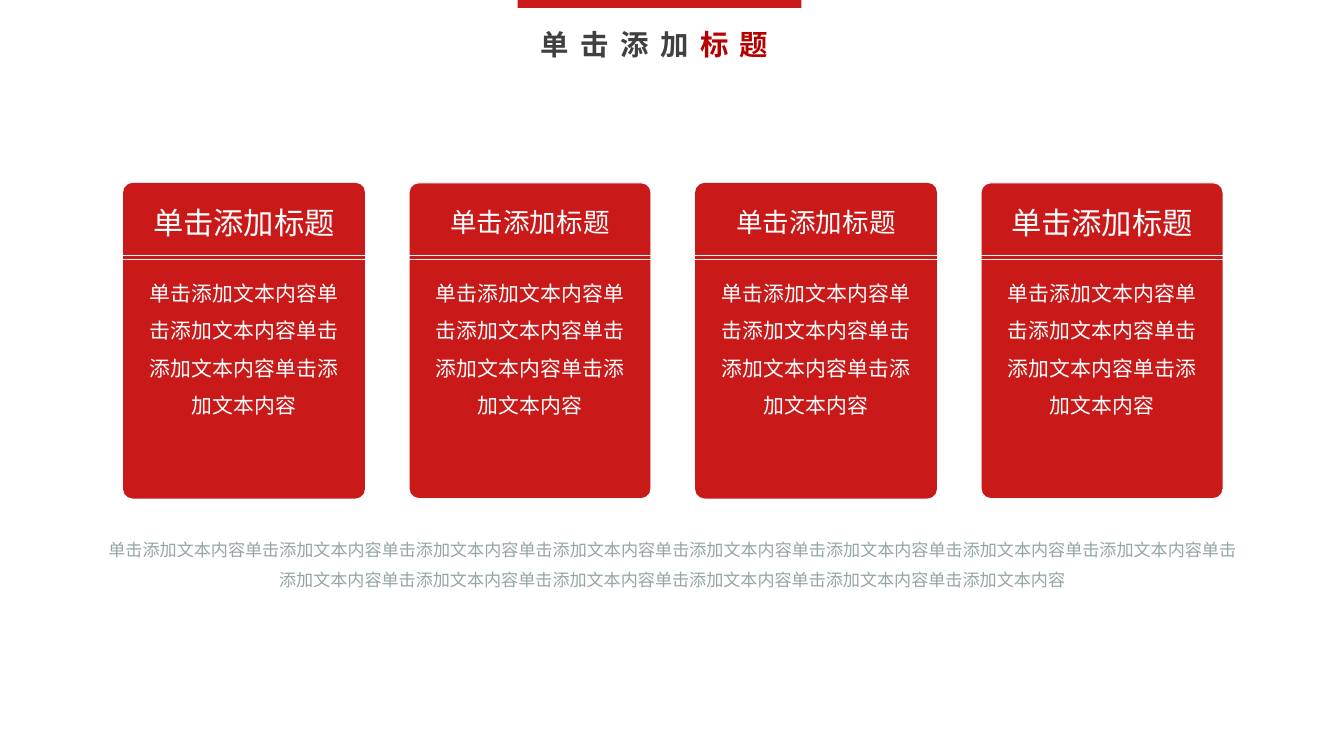
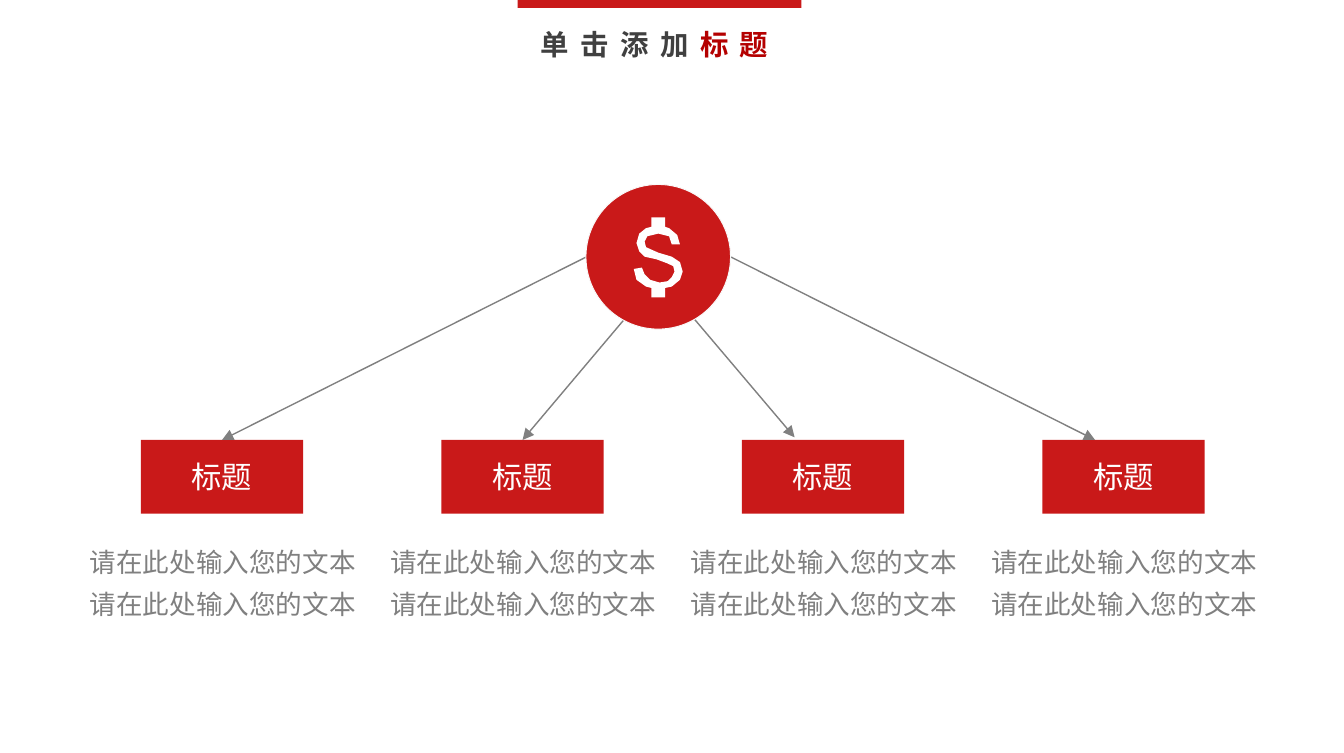
from lxml.etree import SubElement
from pptx import Presentation
from pptx.dml.color import RGBColor
from pptx.enum.shapes import MSO_CONNECTOR, MSO_SHAPE
from pptx.enum.text import MSO_ANCHOR, PP_ALIGN
from pptx.oxml.ns import qn
from pptx.util import Cm, Pt

RED = RGBColor(0xC9, 0x19, 0x19)
DARK_RED = RGBColor(0xB4, 0x00, 0x00)
WHITE = RGBColor(0xFF, 0xFF, 0xFF)
OUTLINE = RGBColor(0xF9, 0xF9, 0xF9)
RULE = RGBColor(0xF2, 0xF2, 0xF2)
GRAY = RGBColor(0x80, 0x80, 0x80)
BLUE_GRAY = RGBColor(0x95, 0xA5, 0xA6)
DARK_GRAY = RGBColor(0x40, 0x40, 0x40)
LATIN_FONT = "Calibri"
CHINESE_FONT = "Noto Sans CJK SC"
EAST_ASIAN_FONT = "Calibri"


def write_text(shape, text, size, color, font=LATIN_FONT, spacing=1.0,
               anchor=MSO_ANCHOR.TOP, insets=(0.25, 0.13)):
    frame = shape.text_frame
    frame.word_wrap = True
    frame.vertical_anchor = anchor
    frame.margin_left = frame.margin_right = Cm(insets[0])
    frame.margin_top = frame.margin_bottom = Cm(insets[1])
    frame.text = text
    for paragraph in frame.paragraphs:
        paragraph.alignment = PP_ALIGN.CENTER
        paragraph.line_spacing = spacing
        for run in paragraph.runs:
            run.font.name = font
            run.font.size = Pt(size)
            run.font.color.rgb = color
            properties = run.font._element
            SubElement(properties, qn("a:ea"), typeface=EAST_ASIAN_FONT)


def draw_line(slide, start, end, color, arrow=False):
    connector = slide.shapes.add_connector(
        MSO_CONNECTOR.STRAIGHT, Cm(start[0]), Cm(start[1]), Cm(end[0]), Cm(end[1]))
    connector.line.color.rgb = color
    connector.line.width = Pt(0.75)
    properties = connector.element.spPr
    if arrow:
        SubElement(properties.find(qn("a:ln")), qn("a:tailEnd"), type="triangle")
    SubElement(properties, qn("a:effectLst"))


presentation = Presentation()
presentation.slide_width = Cm(25)
presentation.slide_height = Cm(14)
blank = presentation.slide_layouts[6]
cards_slide = presentation.slides.add_slide(blank)
tree_slide = presentation.slides.add_slide(blank)
filled_shapes = []  # shape, fill colour, whether outlined

# Slide 1: four cards
CARD_TOP, CARD_WIDTH, CARD_HEIGHT = 3.4, 4.5, 5.87
for index, heading_size in enumerate((16, 14, 14, 16)):
    left = 2.29 + index * 5.32
    card = cards_slide.shapes.add_shape(
        MSO_SHAPE.ROUNDED_RECTANGLE,
        Cm(left), Cm(CARD_TOP), Cm(CARD_WIDTH), Cm(CARD_HEIGHT))
    card.adjustments[0] = 0.04
    filled_shapes.append((card, RED, index % 2 == 1))

    body = cards_slide.shapes.add_textbox(Cm(left + 0.23), Cm(4.85), Cm(4.04), Cm(3.78))
    write_text(body, "单击添加文本内容" * 4, 11, WHITE, spacing=1.5)
    heading = cards_slide.shapes.add_textbox(Cm(left + 0.3), Cm(3.66), Cm(3.9), Cm(0.94))
    write_text(heading, "单击添加标题", heading_size, WHITE, anchor=MSO_ANCHOR.MIDDLE)
    for rule_top in (4.75, 4.83):
        draw_line(cards_slide, (left, rule_top), (left + CARD_WIDTH, rule_top), RULE)

summary = cards_slide.shapes.add_textbox(Cm(1.65), Cm(9.7), Cm(21.69), Cm(2.24))
write_text(summary, "单击添加文本内容" * 14, 9, BLUE_GRAY, spacing=1.5)

# Slide 2: four labelled boxes with captions
for index in range(4):
    left = 2.62 + index * 5.59
    box = tree_slide.shapes.add_shape(
        MSO_SHAPE.RECTANGLE, Cm(left), Cm(8.18), Cm(3.02), Cm(1.37))
    write_text(box, "标题", 16, WHITE, CHINESE_FONT,
               anchor=MSO_ANCHOR.MIDDLE, insets=(0.18, 0.1))
    filled_shapes.append((box, RED, False))
    caption = tree_slide.shapes.add_textbox(Cm(left - 1.22), Cm(9.88), Cm(5.49), Cm(1.75))
    write_text(caption, "\n".join(["请在此处输入您的文本"] * 2), 14, GRAY, CHINESE_FONT,
               spacing=1.3, insets=(0.18, 0.1))

# Arrows from the circle to the boxes
for start, end in (
    ((10.9, 4.78), (4.13, 8.18)),
    ((11.61, 5.94), (9.72, 8.18)),
    ((12.88, 5.89), (14.78, 8.13)),
    ((13.6, 4.78), (20.37, 8.18)),
):
    draw_line(tree_slide, start, end, GRAY, arrow=True)

# Circle with a dollar sign
circle = tree_slide.shapes.add_shape(
    MSO_SHAPE.OVAL, Cm(10.9), Cm(3.43), Cm(2.69), Cm(2.69))
filled_shapes.append((circle, RED, True))
dollar_outline = [
    (34, 33), (28, 29), (18, 26), (9, 22), (8, 18), (10, 14), (18, 12),
    (26, 14), (28, 20), (34, 20), (32, 13), (26, 8), (23, 7), (23, 0),
    (13, 0), (13, 7), (9, 8), (4, 12), (2, 19), (4, 25), (8, 29),
    (17, 31), (25, 34), (29, 36), (30, 40), (28, 44), (25, 47), (19, 48),
    (12, 46), (8, 42), (6, 37), (0, 38), (2, 46), (9, 51), (13, 52),
    (13, 59), (23, 59), (23, 52), (28, 51), (34, 46), (36, 40),
]
builder = tree_slide.shapes.build_freeform(*dollar_outline[0], scale=Cm(0.91) / 36)
builder.add_line_segments(dollar_outline[1:], close=True)
dollar = builder.convert_to_shape(Cm(11.79), Cm(4.04))
filled_shapes.append((dollar, WHITE, False))

# Top band and title shared by both slides
for slide in presentation.slides:
    band = slide.shapes.add_shape(
        MSO_SHAPE.RECTANGLE, Cm(9.63), Cm(0), Cm(5.28), Cm(0.15))
    filled_shapes.append((band, RED, False))
    title = slide.shapes.add_textbox(Cm(9.88), Cm(0.41), Cm(7.82), Cm(0.84))
    title_paragraph = title.text_frame.paragraphs[0]
    for part in ("单击添加", "标题"):
        title_paragraph.add_run().text = part
    title.text_frame.word_wrap = True
    title.text_frame.margin_left = title.text_frame.margin_right = Cm(0.18)
    title.text_frame.margin_top = title.text_frame.margin_bottom = Cm(0.1)
    for run, color in zip(title_paragraph.runs, (DARK_GRAY, DARK_RED)):
        run.font.name = LATIN_FONT
        run.font.size = Pt(15)
        run.font.bold = True
        run.font.color.rgb = color
        run.font._element.set("spc", "600")
        SubElement(run.font._element, qn("a:ea"), typeface=EAST_ASIAN_FONT)

# Fill and outline of all shapes
for shape, color, outlined in filled_shapes:
    shape.shadow.inherit = False
    shape.fill.solid()
    shape.fill.fore_color.rgb = color
    if outlined:
        shape.line.color.rgb = OUTLINE
        shape.line.width = Pt(0.5)
    else:
        shape.line.fill.background()

presentation.save("out.pptx")
